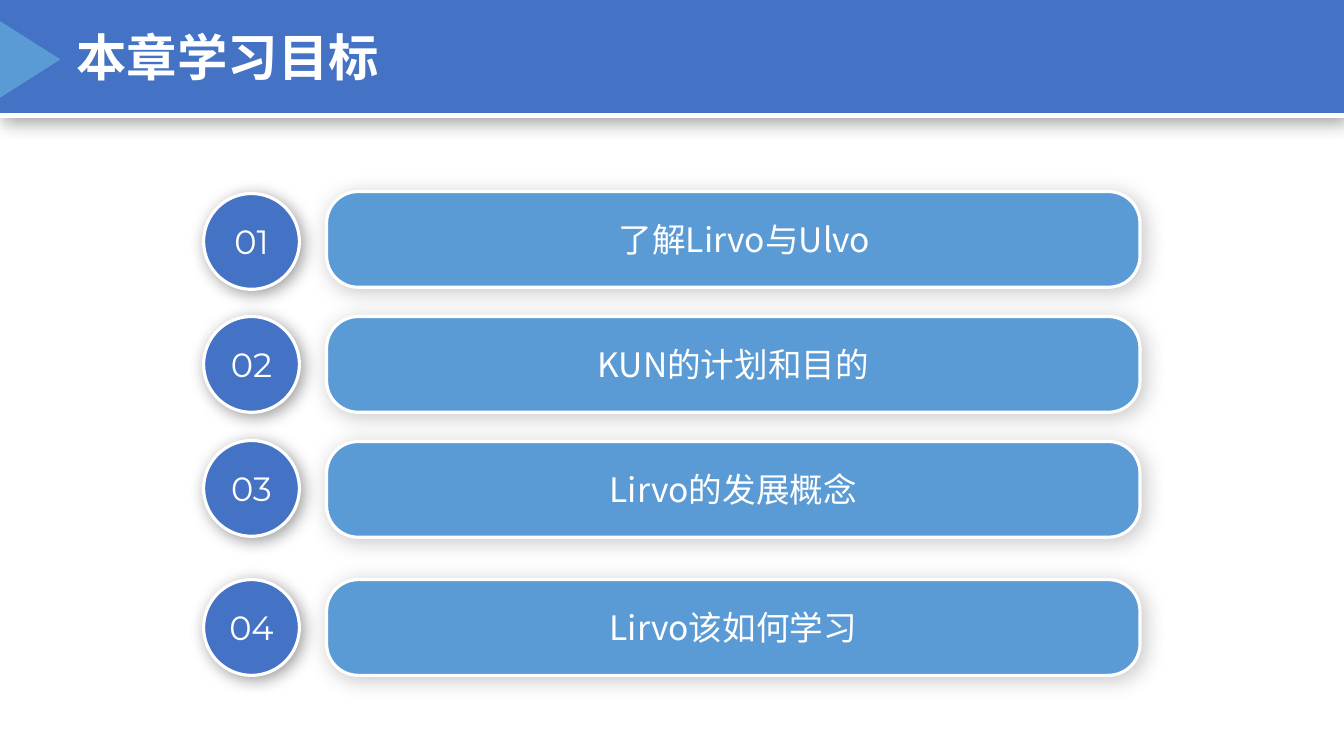
from dataclasses import dataclass

from lxml.etree import SubElement
from pptx import Presentation
from pptx.dml.color import RGBColor
from pptx.enum.shapes import MSO_SHAPE as Preset
from pptx.enum.text import MSO_ANCHOR as Anchor, MSO_AUTO_SIZE as AutoSize, PP_ALIGN as Align
from pptx.oxml.ns import qn
from pptx.shapes.autoshape import Shape
from pptx.slide import Slide
from pptx.text.text import TextFrame
from pptx.util import Pt

WHITE = RGBColor(0xFF, 0xFF, 0xFF)
BLACK = RGBColor(0x00, 0x00, 0x00)
BLUE = RGBColor(0x44, 0x72, 0xC4)
LIGHT_BLUE = RGBColor(0x5B, 0x9B, 0xD5)
TEXT_FONT = "Noto Sans CJK SC"
NUMBER_FONT = "Montserrat"
SLIDE_WIDTH = 960
BANNER_HEIGHT = 80.64
ITEM_HEIGHT = 68.4


@dataclass(frozen=True)
class Area:
    left: float
    top: float
    width: float
    height: float


@dataclass(frozen=True)
class Shadow:
    opacity: int
    blur: float
    distance: float = 3
    angle: int = 45


@dataclass(frozen=True)
class Goal:
    text: str
    circle_top: float
    bar_top: float
    indent: float = 0


BANNER_SHADOW = Shadow(opacity=40, blur=13)
CIRCLE_SHADOW = Shadow(opacity=40, blur=12)
BAR_SHADOW = Shadow(opacity=21, blur=15)
GOALS = (
    Goal("了解Lirvo与Ulvo", 138.24, 136.8, indent=16),
    Goal("KUN的计划和目的", 226.08, 226.08),
    Goal("Lirvo的发展概念", 314.64, 315.36),
    Goal("Lirvo该如何学习", 414, 414),
)


def add_shadow(shape: Shape, shadow: Shadow) -> None:
    effects = shape._element.spPr.find(qn("a:effectLst"))
    outer = SubElement(
        effects,
        qn("a:outerShdw"),
        blurRad=str(Pt(shadow.blur)),
        dist=str(Pt(shadow.distance)),
        dir=str(shadow.angle * 60000),
        algn="tl",
        rotWithShape="0",
    )
    color = SubElement(outer, qn("a:srgbClr"), val=str(BLACK))
    SubElement(color, qn("a:alpha"), val=str(shadow.opacity * 1000))


def add_panel(
    slide: Slide,
    preset: Preset,
    area: Area,
    fill: RGBColor,
    outlined: bool = False,
    shadow: Shadow | None = None,
) -> Shape:
    shape = slide.shapes.add_shape(
        preset, Pt(area.left), Pt(area.top), Pt(area.width), Pt(area.height)
    )
    shape.fill.solid()
    shape.fill.fore_color.rgb = fill
    if outlined:
        shape.line.color.rgb = WHITE
        shape.line.width = Pt(2.25)
    else:
        shape.line.fill.background()
    shape.shadow.inherit = False
    if shadow:
        add_shadow(shape, shadow)
    return shape


def write_text(
    frame: TextFrame,
    text: str,
    *,
    font: str = TEXT_FONT,
    size: float = 24,
    bold: bool = False,
    align: Align = Align.CENTER,
    anchor: Anchor = Anchor.MIDDLE,
    indent: float = 0,
) -> None:
    frame.word_wrap = True
    frame.vertical_anchor = anchor
    frame.margin_left = Pt(7.2 + indent)
    para = frame.paragraphs[0]
    para.alignment = align
    span = para.add_run()
    span.text = text
    span.font.name = font
    span.font.size = Pt(size)
    span.font.bold = bold
    span.font.color.rgb = WHITE
    SubElement(span.font._element, qn("a:ea"), typeface=font)


def add_banner(slide: Slide, title: str) -> None:
    add_panel(
        slide,
        Preset.RECTANGLE,
        Area(0, 3.6, SLIDE_WIDTH, BANNER_HEIGHT),
        WHITE,
        shadow=BANNER_SHADOW,
    )
    add_panel(slide, Preset.RECTANGLE, Area(0, 0, SLIDE_WIDTH, BANNER_HEIGHT), BLUE)
    box = slide.shapes.add_textbox(Pt(47.52), Pt(15.12), Pt(332.64), Pt(50.4))
    write_text(
        box.text_frame, title, size=36, bold=True, align=Align.LEFT, anchor=Anchor.TOP
    )
    box.text_frame.auto_size = AutoSize.SHAPE_TO_FIT_TEXT
    arrow = add_panel(
        slide, Preset.ISOSCELES_TRIANGLE, Area(-5.76, 20.88, 54.72, 43.2), LIGHT_BLUE
    )
    arrow.rotation = 90


def add_goal(slide: Slide, number: int, goal: Goal) -> None:
    circle = add_panel(
        slide,
        Preset.OVAL,
        Area(145.44, goal.circle_top, ITEM_HEIGHT, ITEM_HEIGHT),
        BLUE,
        outlined=True,
        shadow=CIRCLE_SHADOW,
    )
    write_text(circle.text_frame, f"{number:02d}", font=NUMBER_FONT)
    bar = add_panel(
        slide,
        Preset.ROUNDED_RECTANGLE,
        Area(233.28, goal.bar_top, 581.04, ITEM_HEIGHT),
        LIGHT_BLUE,
        outlined=True,
        shadow=BAR_SHADOW,
    )
    bar.adjustments[0] = 0.33
    write_text(bar.text_frame, goal.text, indent=goal.indent)


def main() -> None:
    deck = Presentation()
    deck.slide_width = Pt(SLIDE_WIDTH)
    deck.slide_height = Pt(540)
    page = deck.slides.add_slide(deck.slide_layouts[6])
    add_banner(page, "本章学习目标")
    for number, goal in enumerate(GOALS, start=1):
        add_goal(page, number, goal)
    deck.save("out.pptx")


if __name__ == "__main__":
    main()
